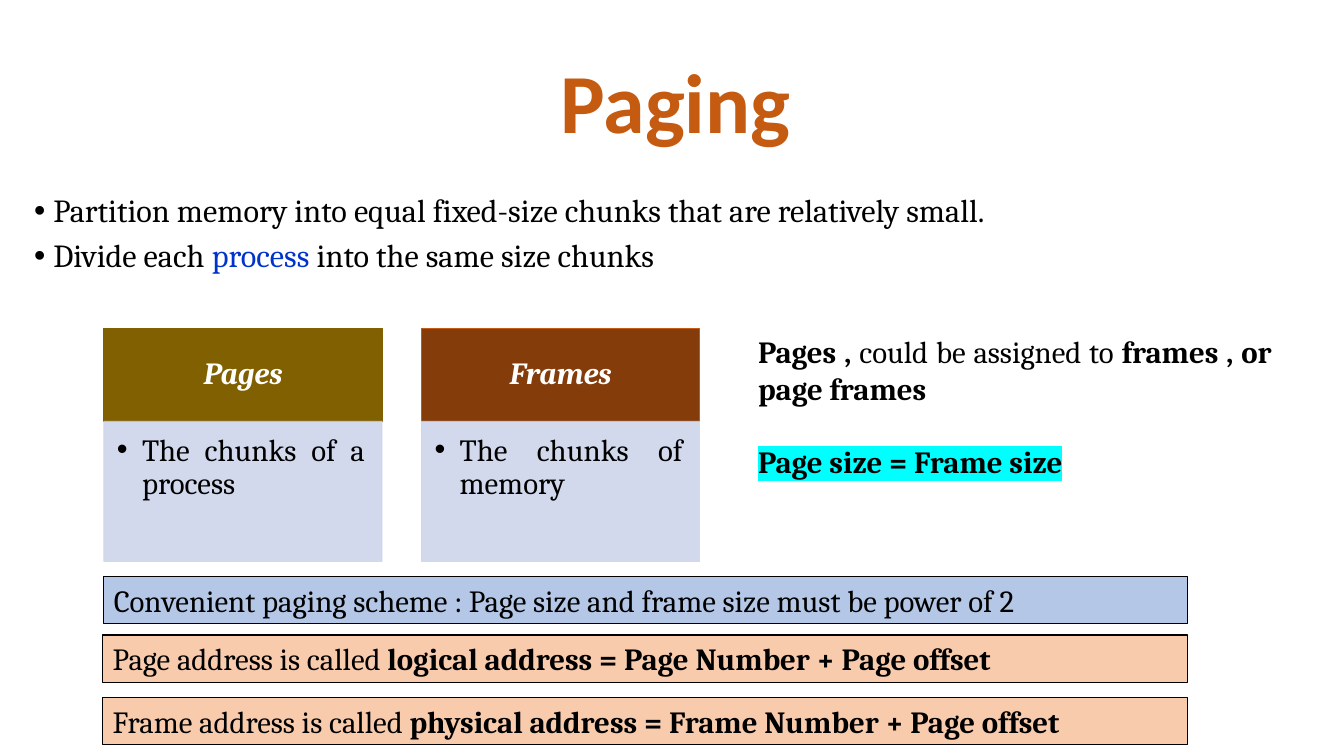
from lxml.etree import SubElement
from pptx import Presentation
from pptx.dml.color import RGBColor
from pptx.enum.shapes import MSO_SHAPE as Shape
from pptx.enum.text import MSO_ANCHOR as Anchor, PP_ALIGN as Align
from pptx.oxml.ns import qn
from pptx.util import Emu, Pt

PX = 9144  # 100 px to the inch
COLORS = {
    "title": "C55A11", "text": "000000", "process": "0033CC", "white": "FFFFFF",
    "pages": "806000", "frames": "843C0B", "frames_line": "C55A11",
    "card": "CFD5EA", "scheme": "B4C7E7", "address": "F8CBAD",
    "border": "000000", "marker": "00FFFF",
}


def px(length):
    return Emu(length * PX)


def rgb(name):
    return RGBColor.from_string(COLORS[name])


def add_rect(slide, box, fill, line, line_width, opacity=None):
    rect = slide.shapes.add_shape(Shape.RECTANGLE, *map(px, box))
    rect.shadow.inherit = False
    rect.fill.solid()
    rect.fill.fore_color.rgb = rgb(fill)
    rect.line.color.rgb = rgb(line)
    rect.line.width = Pt(line_width)
    if opacity:
        for color in rect._element.spPr.iter(qn("a:srgbClr")):
            SubElement(color, qn("a:alpha"), val=str(opacity * 1000))
    return rect


def add_text_box(slide, box):
    return slide.shapes.add_textbox(*map(px, box)).text_frame


def set_frame(frame, anchor=Anchor.TOP, insets=(10, 5, 10, 5)):
    frame.word_wrap = True
    frame.vertical_anchor = anchor
    (frame.margin_left, frame.margin_top,
     frame.margin_right, frame.margin_bottom) = map(px, insets)


def write(paragraph, runs, size=22, font="Cambria", color="text", align=Align.JUSTIFY,
          spacing=None, before=None, indent=None, bold=None, italic=None):
    """Fill a paragraph; runs are (text, bold) pairs or one plain string."""
    if indent:
        props = paragraph._p.get_or_add_pPr()
        props.set("marL", str(px(indent)))
        props.set("indent", str(px(-indent)))
        SubElement(props, qn("a:buFont"), typeface="Arial")
        SubElement(props, qn("a:buChar"), char="•")
    paragraph.alignment = align
    if spacing:
        paragraph.line_spacing = spacing
    if before:
        paragraph.space_before = Pt(before)
    style = paragraph.font
    style.name, style.size, style.bold, style.italic = font, Pt(size), bold, italic
    style.color.rgb = rgb(color)
    for text, run_bold in [(runs, None)] if isinstance(runs, str) else runs:
        run = paragraph.add_run()
        run.text = text
        run.font.bold = run_bold
    return paragraph


def add_title(slide, box):
    frame = add_text_box(slide, box)
    set_frame(frame, Anchor.MIDDLE)
    write(frame.paragraphs[0], "Paging", 60, "Calibri", "title", Align.CENTER, 0.9, bold=True)


def add_intro(slide, box):
    frame = add_text_box(slide, box)
    set_frame(frame)
    bullet = dict(size=23, spacing=0.9, indent=19)
    write(frame.paragraphs[0],
          "Partition memory into equal fixed-size chunks that are relatively small.", **bullet)
    divide = write(frame.add_paragraph(), [("Divide each ", None), ("process", None),
                                           (" into the same size chunks", None)],
                   before=7.5, **bullet)
    divide.runs[1].font.color.rgb = rgb("process")


def add_card(slide, box, heading, definition, fill, line):
    left, top, width, height = box
    header_height = 92
    header = add_rect(slide, (left, top, width, header_height), fill, line, 0.5).text_frame
    set_frame(header, Anchor.MIDDLE, (17, 10, 17, 10))
    write(header.paragraphs[0], heading, color="white", align=Align.CENTER,
          spacing=0.9, bold=True, italic=True)
    body = add_rect(slide, (left, top + header_height, width, height - header_height),
                    "card", "card", 0.5, opacity=90).text_frame
    set_frame(body, insets=(13, 13, 17, 19))
    write(body.paragraphs[0], definition, spacing=0.9, indent=25)


def add_assignment(slide, box):
    frame = add_text_box(slide, box)
    set_frame(frame)
    write(frame.paragraphs[0], [("Pages , ", True), ("could be assigned to ", False),
                                ("frames , or page frames", True)])
    equation = write(frame.add_paragraph(), "Page size = Frame size", before=26, bold=True)
    # Marker colour behind the equation
    props = equation.runs[0]._r.get_or_add_rPr()
    highlight = SubElement(props, qn("a:highlight"))
    SubElement(highlight, qn("a:srgbClr"), val=COLORS["marker"])


def add_rule(slide, box, fill, runs, align=Align.LEFT):
    frame = add_rect(slide, box, fill, "border", 0.75).text_frame
    set_frame(frame)
    write(frame.paragraphs[0], runs, align=align)


def main():
    deck = Presentation()
    deck.slide_width, deck.slide_height = px(1333), px(750)
    slide = deck.slides.add_slide(deck.slide_layouts[6])

    add_title(slide, (242, 33, 856, 145))
    add_intro(slide, (24, 188, 1246, 420))

    # Definition cards
    cards = [("Pages", "The chunks of a process", "pages", "pages"),
             ("Frames", "The chunks of memory", "frames", "frames_line")]
    for column, card in enumerate(cards):
        add_card(slide, (103 + 315 * column, 326, 276, 231), *card)
    add_assignment(slide, (742, 325, 529, 158))

    # Rules at the foot
    add_rule(slide, (103, 572, 1075, 47), "scheme",
             "Convenient paging scheme : Page size and frame size must be power of 2",
             Align.JUSTIFY)
    addresses = [("Page address is called ", "logical address = Page Number + Page offset"),
                 ("Frame address is called ", "physical address = Frame Number + Page offset")]
    for row, (lead, formula) in enumerate(addresses):
        add_rule(slide, (102, 630 + 62 * row, 1076, 47), "address",
                 [(lead, None), (formula, True)])

    deck.save("out.pptx")


if __name__ == "__main__":
    main()
